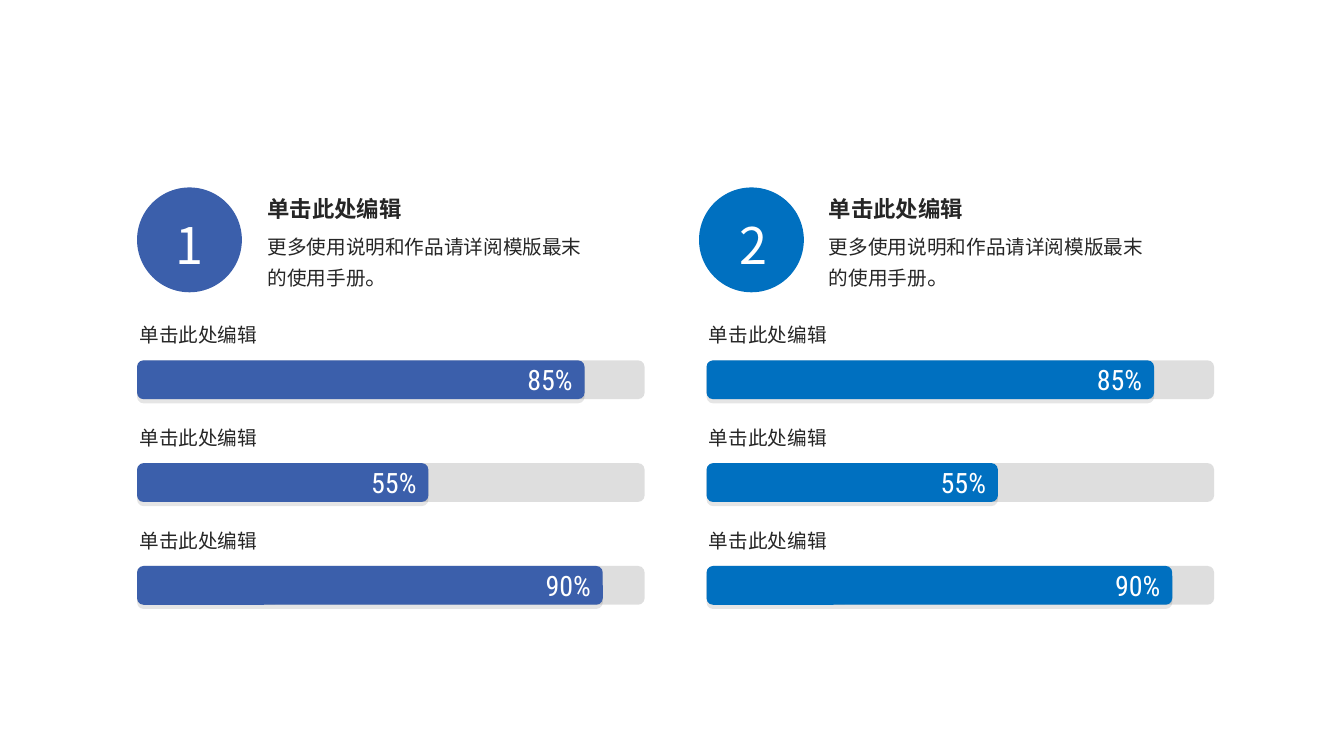
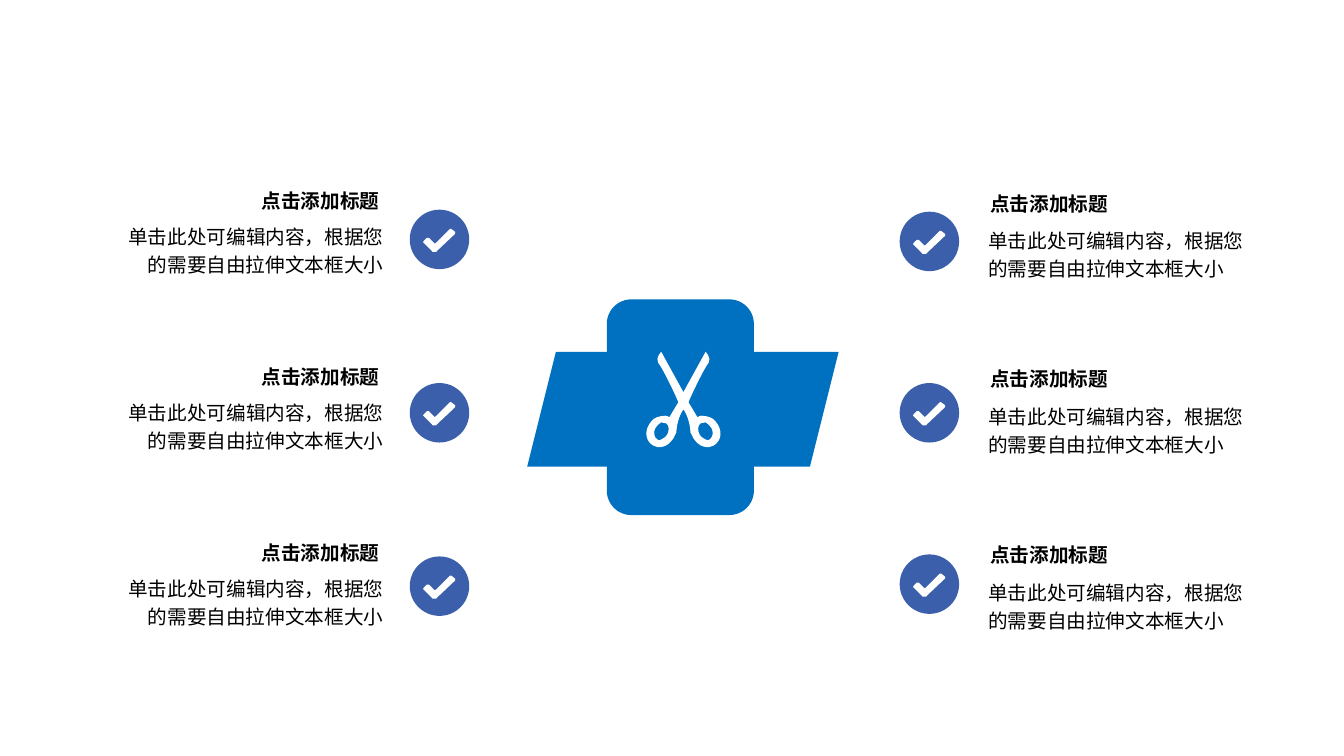
from lxml import etree
from pptx import Presentation
from pptx.dml.color import RGBColor
from pptx.enum import shapes, text
from pptx.oxml.ns import qn
from pptx.util import Pt

PX = 4572
SHAPE = shapes.MSO_SHAPE
LEFT, CENTER, RIGHT = text.PP_ALIGN.LEFT, text.PP_ALIGN.CENTER, text.PP_ALIGN.RIGHT
CJK, LATIN, NUMERALS = "Noto Sans CJK SC", "Arial", "Roboto Condensed"
COLORS = {
    "indigo": "3B5FAB", "blue": "0070C0", "track": "BFBFBF",
    "ink": "262626", "black": "000000", "white": "FFFFFF",
}

HEADING = "单击此处编辑"
INTRO = "更多使用说明和作品请详阅模版最末的使用手册"
BARS = [("85%", 888), ("55%", 578), ("90%", 924)]
BAR_TOP, BAR_PITCH, BAR_HEIGHT, TRACK_WIDTH = 715, 204, 77, 1007
COLUMNS = [
    {"number": "1", "color": "indigo", "disc": 272, "digit": 304, "head": 511, "bars": 272},
    {"number": "2", "color": "blue", "disc": 1387, "digit": 1424, "head": 1625, "bars": 1402},
]

POINT_TITLE = "点击添加标题"
POINT_BODY = "单击此处可编辑内容，根据您的需要自由拉伸文本框大小"
POINT_ROWS, POINT_PITCH, DISC = 3, 349, 118
SIDES = [
    {"align": RIGHT, "title": (467, 365), "body": (215, 427), "disc": (813, 416), "pitch": 344},
    {"align": LEFT, "title": (1945, 370), "body": (1941, 435), "disc": (1785, 420), "pitch": 340},
]

ICON_UNIT = 2
CHECK = [
    (14, 33), (13, 33, 13, 32, 14, 31), (17, 28), (17, 28, 18, 28, 19, 28),
    (24, 33), (24, 34, 25, 34, 26, 33), (40, 19), (40, 19, 41, 19, 41, 19),
    (45, 22), (45, 23, 45, 24, 45, 24), (27, 41), (27, 42, 26, 42, 25, 42),
    (24, 42), (23, 42, 22, 42, 22, 41),
]
SCISSORS_AXIS = 678
SCISSORS_HALF = [
    (678, 389), (656, 349), (656, 349, 650, 355, 653, 360),
    (656, 363, 668, 387, 673, 399), (664, 414),
    (662, 412, 658, 412, 655, 413), (650, 414, 647, 416, 644, 421),
    (639, 429, 641, 438, 648, 442), (651, 444, 654, 444, 658, 443),
    (662, 442, 665, 439, 668, 435), (669, 433, 670, 431, 671, 429),
    (671, 428), (672, 416, 676, 409, 678, 406),
]
SCISSORS_HOLE = [
    (662, 431), (660, 434, 658, 435, 656, 436), (655, 437, 653, 437, 652, 436),
    (649, 434, 648, 429, 650, 425), (652, 422, 654, 420, 656, 419),
    (658, 419, 659, 419, 661, 420), (664, 422, 664, 427, 662, 431),
]


def px(n):
    return round(n * PX)


def rgb(name):
    return RGBColor.from_string(COLORS[name])


def paint(sp, color, alpha=None):
    sp.shadow.inherit = False
    sp.fill.solid()
    sp.fill.fore_color.rgb = rgb(color)
    sp.line.fill.background()
    if alpha:
        clr = sp._element.spPr.find(qn("a:solidFill")).find(qn("a:srgbClr"))
        etree.SubElement(clr, qn("a:alpha"), val=str(alpha * 1000))
    return sp


def add_box(s, kind, x, y, w, h, color, alpha=None):
    return paint(s.shapes.add_shape(kind, px(x), px(y), px(w), px(h)), color, alpha)


def drop_shadow(sp):
    effects = sp._element.spPr.find(qn("a:effectLst"))
    shadow = etree.SubElement(effects, qn("a:outerShdw"), blurRad="0", dist="38100",
                              dir="5400000", algn="t", rotWithShape="0")
    clr = etree.SubElement(shadow, qn("a:srgbClr"), val=COLORS["black"])
    etree.SubElement(clr, qn("a:alpha"), val="10000")


def write(sp, runs, font, color, bold=False, align=LEFT, spacing=None):
    tf = sp.text_frame
    tf.word_wrap = True
    p = tf.paragraphs[0]
    p.alignment = align
    if spacing:
        p.line_spacing = spacing
    for words, size in runs:
        r = p.add_run()
        r.text = words
        r.font.size = Pt(size)
        r.font.bold = bold
        r.font.color.rgb = rgb(color)
        r.font.name = font
        etree.SubElement(r._r.get_or_add_rPr(), qn("a:ea"), typeface=CJK)
    return tf


def add_text(s, x, y, w, h, *args, **style):
    write(s.shapes.add_textbox(px(x), px(y), px(w), px(h)), *args, **style)


def pairs(step):
    return list(zip(step[::2], step[1::2]))


def mirror(steps):
    flipped = [tuple(v for x, y in pairs(step) for v in (2 * SCISSORS_AXIS - x, y))
               for step in steps]
    result = [flipped[-1][-2:]]
    for before, step in zip(flipped[-2::-1], flipped[:0:-1]):
        points = pairs(step)[-2::-1] + [before[-2:]]
        result.append(tuple(v for point in points for v in point))
    return result


def add_outline(s, contours, color, dx=0, dy=0):
    builder = None
    for steps in contours:
        pts = [(px(dx + x * ICON_UNIT), px(dy + y * ICON_UNIT))
               for step in steps for x, y in pairs(step)]
        if builder is None:
            builder = s.shapes.build_freeform(*pts[0])
        else:
            builder.move_to(*pts[0])
        builder.add_line_segments(pts[1:], close=True)
    sp = paint(builder.convert_to_shape(), color)
    lines = iter(list(sp._element.iter(qn("a:lnTo"))))
    for step in (step for steps in contours for step in steps[1:]):
        curve = next(lines)
        if len(step) == 6:
            bezier = etree.Element(qn("a:cubicBezTo"))
            curve.addprevious(bezier)
            for line in (curve, next(lines), next(lines)):
                bezier.append(line[0])
                line.getparent().remove(line)


def add_bar(s, x, y, width, value, color):
    add_text(s, x - 15, y - 79, 684, 62, [(HEADING, 14)], CJK, "ink", spacing=0.9)
    add_box(s, SHAPE.ROUNDED_RECTANGLE, x, y, TRACK_WIDTH, BAR_HEIGHT, "track", 50)
    bar = add_box(s, SHAPE.ROUNDED_RECTANGLE, x, y, width, BAR_HEIGHT, color)
    drop_shadow(bar)
    tf = write(bar, [(value, 20)], NUMERALS, "white", align=RIGHT)
    tf.vertical_anchor = text.MSO_ANCHOR.MIDDLE
    tf.margin_left = tf.margin_right = px(20)
    tf.margin_top = tf.margin_bottom = px(26)


def progress_slide(s):
    for col in COLUMNS:
        add_box(s, SHAPE.OVAL, col["disc"], 372, 208, 208, col["color"])
        add_text(s, col["digit"], 416, 144, 132, [(col["number"], 36)], CJK, "white",
                 align=CENTER)
        add_text(s, col["head"], 384, 676, 68, [(HEADING, 16)], CJK, "ink",
                 bold=True, spacing=0.9)
        add_text(s, col["head"], 446, 676, 136, [(INTRO, 14), ("。", 16)], CJK, "ink",
                 spacing=1.2)
        for row, (value, width) in enumerate(BARS):
            add_bar(s, col["bars"], BAR_TOP + row * BAR_PITCH, width, value, col["color"])


def points_slide(s):
    for side in SIDES:
        for row in range(POINT_ROWS):
            x, y = side["disc"]
            y += row * side["pitch"]
            add_box(s, SHAPE.FLOWCHART_CONNECTOR, x, y, DISC, DISC, "indigo")
            add_outline(s, [CHECK], "white", x, y)
            drop = row * POINT_PITCH
            x, y = side["title"]
            add_text(s, x, y + drop, 306, 68, [(POINT_TITLE, 14)], CJK, "black",
                     bold=True, align=side["align"])
            x, y = side["body"]
            add_text(s, x, y + drop, 566, 128, [(POINT_BODY, 14)], LATIN, "black",
                     align=side["align"], spacing=1.2)
    add_box(s, SHAPE.ROUNDED_RECTANGLE, 1204, 594, 292, 428, "blue")
    add_box(s, SHAPE.PARALLELOGRAM, 1046, 698, 618, 228, "blue")
    outline = SCISSORS_HALF + mirror(SCISSORS_HALF)[1:]
    add_outline(s, [outline, SCISSORS_HOLE, mirror(SCISSORS_HOLE)], "white")


def main():
    prs = Presentation()
    prs.slide_width, prs.slide_height = px(2666.67), px(1500)
    for build in (progress_slide, points_slide):
        build(prs.slides.add_slide(prs.slide_layouts[6]))
    prs.save("out.pptx")


if __name__ == "__main__":
    main()
